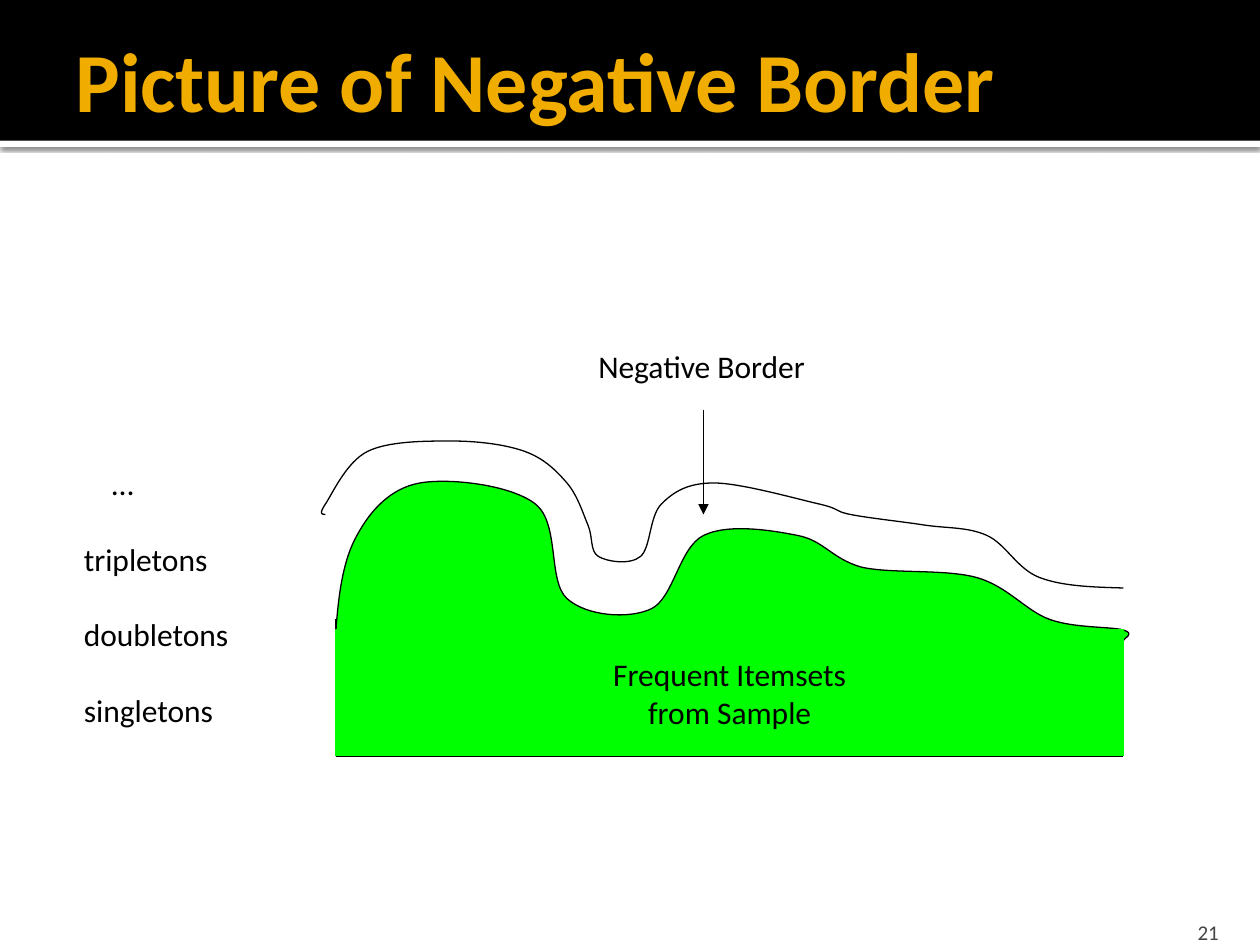
from lxml import etree
from pptx import Presentation
from pptx import util as u
from pptx.dml.color import RGBColor
from pptx.enum import shapes, text
from pptx.oxml import parse_xml
from pptx.oxml.ns import nsdecls, qn

BLACK, WHITE, GREEN, GOLD, GREY = "000000", "FFFFFF", "00FF00", "F0AD00", "454545"
LINE_WIDTH = 0.75
LEFT, RIGHT, SURFACE, BASE = 192, 642, 360, 432

FREQUENT_START = (192, 360)
FREQUENT_CURVES = [
    (193.5, 340, 196, 320, 204, 306),
    (211.5, 292, 223, 279, 240, 276),
    (257, 273, 292, 277, 306, 288),
    (320, 299, 313, 332, 324, 342),
    (335, 352, 359, 354, 372, 348),
    (385, 342, 388, 313, 402, 306),
    (416, 299, 441, 303, 456, 306),
    (471, 309, 475, 319, 492, 324),
    (509, 328, 540, 325, 558, 330),
    (576, 335, 586, 349, 600, 354),
    (614, 359, 635, 358, 642, 360),
    (649, 362, 642, 365, 642, 366),
]
BORDER_START = (186, 294)
BORDER_CURVES = [
    (184, 294, 182, 294, 186, 288),
    (190, 282, 198, 264, 210, 258),
    (222, 252, 243, 252, 258, 252),
    (273, 252, 289, 254, 300, 258),
    (311, 262, 318, 269, 324, 276),
    (330, 283, 333, 293, 336, 300),
    (339, 307, 337, 315, 342, 318),
    (347, 321, 360, 323, 366, 318),
    (372, 313, 371, 295, 378, 288),
    (385, 281, 393, 276, 408, 276),
    (423, 276, 455, 285, 468, 288),
    (481, 291, 476, 292, 486, 294),
    (496, 296, 515, 298, 528, 300),
    (541, 302, 553, 301, 564, 306),
    (575, 311, 581, 325, 594, 330),
    (607, 335, 624, 335.5, 642, 336),
]


def color(hex_string):
    return RGBColor.from_string(hex_string)


def paint(shape, fill=None, line=None, width=LINE_WIDTH):
    shape.shadow.inherit = False
    if fill:
        shape.fill.solid()
        shape.fill.fore_color.rgb = color(fill)
    else:
        shape.fill.background()
    if line:
        shape.line.color.rgb = color(line)
        shape.line.width = u.Pt(width)
    else:
        shape.line.fill.background()


def add_block(slide, box, fill, line=None, width=LINE_WIDTH):
    block = slide.shapes.add_shape(shapes.MSO_SHAPE.RECTANGLE, *map(u.Pt, box))
    paint(block, fill, line, width)
    return block


def add_drop_shadow(block):
    effects = block._element.spPr.find(qn("a:effectLst"))
    effects.append(parse_xml(
        f'<a:outerShdw {nsdecls("a")} blurRad="{u.Pt(2.5)}" dist="{u.Pt(0.8)}" '
        'dir="5400000" algn="tl" rotWithShape="0"><a:srgbClr val="000000">'
        '<a:alpha val="60000"/></a:srgbClr></a:outerShdw>'))


def write(frame, lines, size=18, fill=BLACK, bold=False,
          align=text.PP_ALIGN.LEFT, gap=0):
    for index, line in enumerate(lines):
        paragraph = frame.paragraphs[0] if index == 0 else frame.add_paragraph()
        paragraph.alignment = align
        if index and gap:
            paragraph.space_before = u.Pt(gap)
        run = paragraph.add_run()
        run.text = line
        run.font.name = "Calibri"
        run.font.size = u.Pt(size)
        run.font.bold = bold
        run.font.color.rgb = color(fill)


def add_label(slide, box, lines, anchor=text.MSO_ANCHOR.TOP, **style):
    frame = slide.shapes.add_textbox(*map(u.Pt, box)).text_frame
    frame.word_wrap = True
    frame.vertical_anchor = anchor
    write(frame, lines, **style)
    return frame


def add_curve(slide, start, curves, fill=None):
    points = [(u.Pt(curve[i]), u.Pt(curve[i + 1]))
              for curve in curves for i in (0, 2, 4)]
    builder = slide.shapes.build_freeform(*map(u.Pt, start))
    builder.add_line_segments(points, close=False)
    curve = builder.convert_to_shape()
    segments = list(curve._element.iter(qn("a:lnTo")))
    for bezier, *others in zip(segments[::3], segments[1::3], segments[2::3]):
        bezier.tag = qn("a:cubicBezTo")
        for other in others:
            bezier.append(other[0])
            other.getparent().remove(other)
    paint(curve, fill, BLACK)


def add_line(slide, begin, end, arrow=False):
    line = slide.shapes.add_connector(
        shapes.MSO_CONNECTOR.STRAIGHT, *map(u.Pt, begin + end))
    line.line.color.rgb = color(BLACK)
    line.line.width = u.Pt(LINE_WIDTH)
    if arrow:
        etree.SubElement(line.line._get_or_add_ln(), qn("a:tailEnd"), type="triangle")
    etree.SubElement(line._element.spPr, qn("a:effectLst"))


def main():
    deck = Presentation()
    deck.slide_width, deck.slide_height = u.Pt(720), u.Pt(540)
    slide = deck.slides.add_slide(deck.slide_layouts[6])

    add_drop_shadow(add_block(slide, (0, 80.4, 720, 3.6), WHITE))
    add_block(slide, (0, 0, 720, 80.4), BLACK)
    page_number = add_label(slide, (646, 518.4, 57.6, 21.6), ["21"],
                            text.MSO_ANCHOR.BOTTOM, size=12, fill=GREY,
                            align=text.PP_ALIGN.RIGHT)
    page_number.margin_bottom = 0
    title = add_label(slide, (36, 12.2, 684, 66.2), ["Picture of Negative Border"],
                      text.MSO_ANCHOR.MIDDLE, size=48, fill=GOLD, bold=True)
    title.margin_right = u.Pt(3.6)

    levels = add_label(slide, (40.8, 261.6, 130.3, 208.8),
                       ["…", "tripletons", "doubletons", "singletons"], gap=21.6)
    levels.paragraphs[0]._p.get_or_add_pPr().set("marL", str(u.Pt(16)))

    add_curve(slide, FREQUENT_START, FREQUENT_CURVES, GREEN)
    add_curve(slide, BORDER_START, BORDER_CURVES)
    add_label(slide, (334.8, 194.7, 185, 36), ["Negative Border"])
    add_line(slide, (402, 234), (402, 294), arrow=True)

    add_line(slide, (LEFT, BASE), (RIGHT, BASE))
    add_line(slide, (LEFT, BASE), (LEFT, 354))
    add_line(slide, (RIGHT, SURFACE), (RIGHT, BASE))
    sample = add_block(slide, (LEFT, SURFACE, RIGHT - LEFT, BASE - SURFACE - 0.25),
                       GREEN, GREEN, 0)
    sample.text_frame.vertical_anchor = text.MSO_ANCHOR.MIDDLE
    write(sample.text_frame, ["Frequent Itemsets", "from Sample"],
          align=text.PP_ALIGN.CENTER)

    deck.save("out.pptx")


if __name__ == "__main__":
    main()
